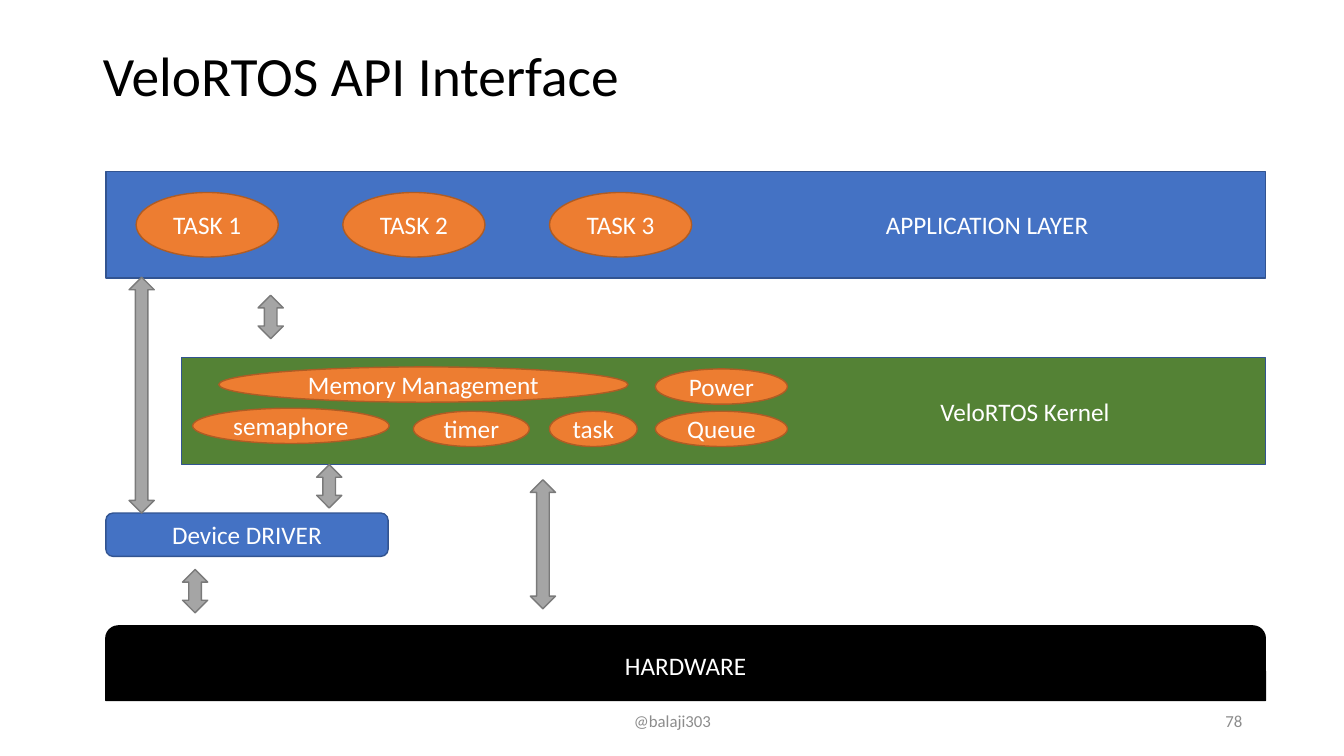
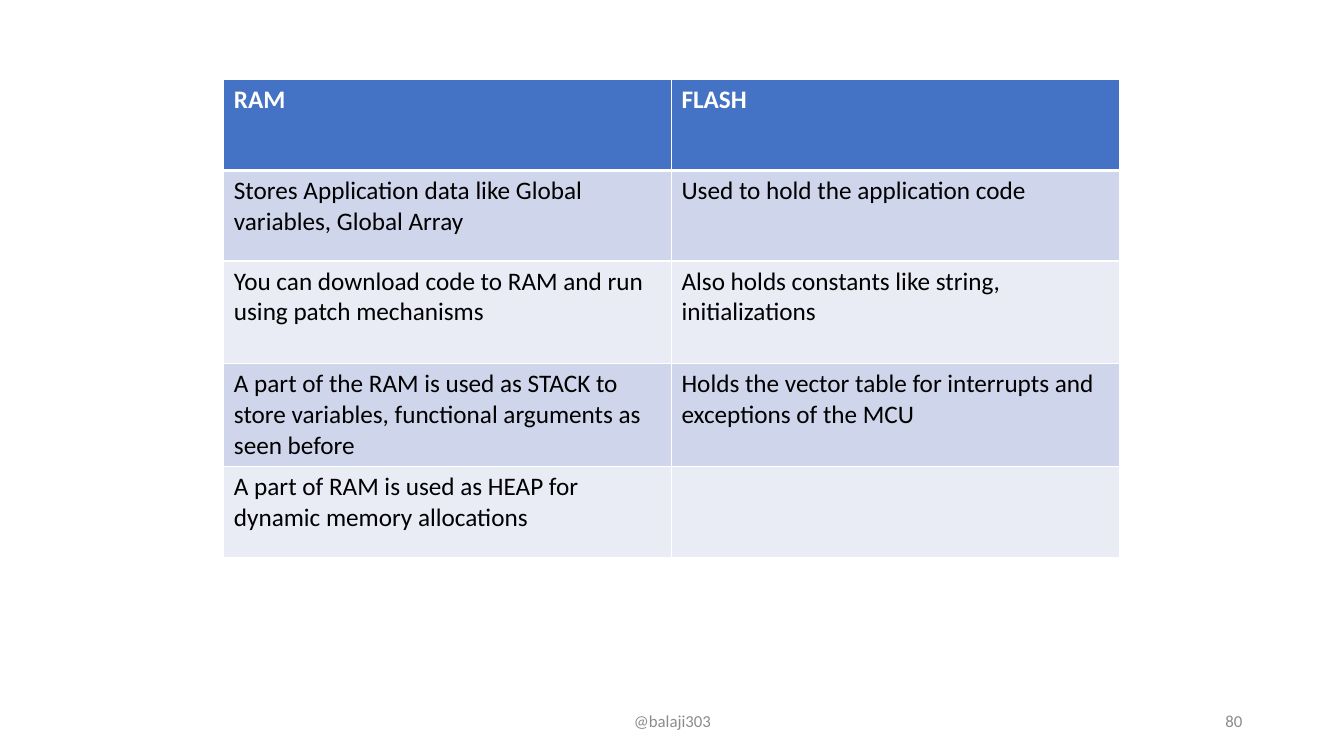
"""Build two slides: the VeloRTOS layers and a RAM and flash table."""
import pptx
import pptx.util
import pptx.oxml
import pptx.oxml.ns
import pptx.dml.color
import pptx.enum.shapes
import pptx.enum.text

KIND = pptx.enum.shapes.MSO_SHAPE
ALIGN = pptx.enum.text.PP_ALIGN
MID = pptx.enum.text.MSO_ANCHOR.MIDDLE
PX = 9144
FONT = "Calibri"
BLACK, WHITE, GREY = "000000", "FFFFFF", "8C8C8C"
BLUE, NAVY, GREEN = "4472C4", "325491", "548235"
BANDS = ("CFD5EA", "E9EBF5")

STYLES = {
    "app": (KIND.RECTANGLE, BLUE, NAVY, 608),
    "kernel": (KIND.RECTANGLE, GREEN, NAVY, 608),
    "part": (KIND.OVAL, "ED7D31", "AF5C24", 0),
    "base": (KIND.ROUND_2_SAME_RECTANGLE, BLACK, BLACK, 10),
    "driver": (KIND.ROUNDED_RECTANGLE, BLUE, NAVY, 10),
    "arrow": (KIND.UP_DOWN_ARROW, "A5A5A5", "7A7A7A", 10),
}

TITLE = "VeloRTOS API Interface"
TASKS = ("TASK 1", "TASK 2", "TASK 3")
PARTS = [
    ("semaphore", 191, 405, 195),
    ("timer", 410, 408, 115),
    ("task", 545, 408, 87),
    ("Queue", 650, 408, 131),
    ("Memory Management", 217, 364, 406),
    ("Power", 650, 366, 131),
]
ARROWS = [(128, 275, 234), (314, 461, 43), (256, 293, 43),
          (181, 565, 43), (526, 476, 128)]

ROWS = [
    (90, "RAM", "FLASH"),
    (90, "Stores Application data like Global variables, Global Array",
     "Used to hold the application code"),
    (102, "You can download code to RAM and run using patch mechanisms",
     "Also holds constants like string, initializations"),
    (102, "A part of the RAM is used as STACK to store variables, "
     "functional arguments as seen before",
     "Holds the vector table for interrupts and exceptions of the MCU"),
    (90, "A part of RAM is used as HEAP for dynamic memory allocations", ""),
]


def px(num):
    return pptx.util.Emu(num * PX)


def color(code):
    return pptx.dml.color.RGBColor.from_string(code)


def paint(fill, code):
    fill.solid()
    fill.fore_color.rgb = color(code)


def write(frame, text, size, code, align=ALIGN.LEFT, bold=False):
    frame.word_wrap = True
    para = frame.paragraphs[0]
    para.alignment = align
    if text:
        run = para.add_run()
        run.text = text
        font = run.font
        font.name, font.size, font.bold = FONT, pptx.util.Pt(size), bold
        font.color.rgb = color(code)
    return para


def place(shape, *box):
    shape.left, shape.top, shape.width, shape.height = map(px, box)


def draw(slide, style, text, *box):
    kind, fill, line, inset = STYLES[style]
    shape = slide.shapes.add_shape(kind, *map(px, box))
    shape.shadow.inherit = False
    paint(shape.fill, fill)
    shape.line.color.rgb = color(line)
    shape.line.width = pptx.util.Pt(1)
    frame = shape.text_frame
    frame.vertical_anchor = MID
    frame.margin_left = px(inset)
    frame.margin_right = px(min(inset, 10))
    if style == "part":
        frame.margin_top = frame.margin_bottom = 0
    write(frame, text, 18, WHITE, ALIGN.CENTER)


def footer(slide, page):
    for text, left, wide, align in (("@balaji303", 442, 450, ALIGN.CENTER),
                                    (page, 942, 300, ALIGN.RIGHT)):
        box = slide.shapes.add_textbox(*map(px, (left, 695, wide, 40)))
        box.text_frame.vertical_anchor = MID
        write(box.text_frame, text, 12, GREY, align)


def border(cell, head):
    props = cell._tc.get_or_add_tcPr()
    space = pptx.oxml.ns.nsdecls("a")
    for side in "LRTB":
        wide = pptx.util.Pt(3 if head and side == "B" else 1)
        props.append(pptx.oxml.parse_xml(
            f'<a:ln{side} {space} w="{wide}"><a:solidFill>'
            f'<a:srgbClr val="{WHITE}"/></a:solidFill></a:ln{side}>'))


def layers(deck):
    slide = deck.slides.add_slide(deck.slide_layouts[5])
    title = slide.shapes.title
    place(title, 92, 40, 1150, 76)
    title.text_frame.vertical_anchor = MID
    write(title.text_frame, TITLE, 39.6, BLACK).line_spacing = 0.9
    footer(slide, "78")
    draw(slide, "app", "APPLICATION LAYER", 105, 170, 1150, 106)
    for num, name in enumerate(TASKS):
        draw(slide, "part", name, 135 + num * 205, 191, 141, 64)
    draw(slide, "kernel", "VeloRTOS Kernel", 180, 355, 1075, 106)
    for name, left, top, wide in PARTS:
        draw(slide, "part", name, left, top, wide, 35)
    draw(slide, "base", "HARDWARE", 105, 621, 1150, 74)
    draw(slide, "driver", "Device DRIVER", 105, 509, 280, 43)
    for left, top, tall in ARROWS:
        draw(slide, "arrow", "", left, top, 25, tall)


def memory(deck):
    slide = deck.slides.add_slide(deck.slide_layouts[6])
    footer(slide, "80")
    tall = sum(row[0] for row in ROWS)
    table = slide.shapes.add_table(
        len(ROWS), 2, *map(px, (222, 79, 888, tall))).table
    for num, (high, *texts) in enumerate(ROWS):
        table.rows[num].height = px(high)
        head = num == 0
        for col, text in enumerate(texts):
            cell = table.cell(num, col)
            border(cell, head)
            paint(cell.fill, BLUE if head else BANDS[(num - 1) % 2])
            write(cell.text_frame, text, 18, WHITE if head else BLACK,
                  bold=head)


def main():
    deck = pptx.Presentation()
    deck.slide_width, deck.slide_height = px(1333), px(750)
    layers(deck)
    memory(deck)
    deck.save("out.pptx")


if __name__ == "__main__":
    main()
